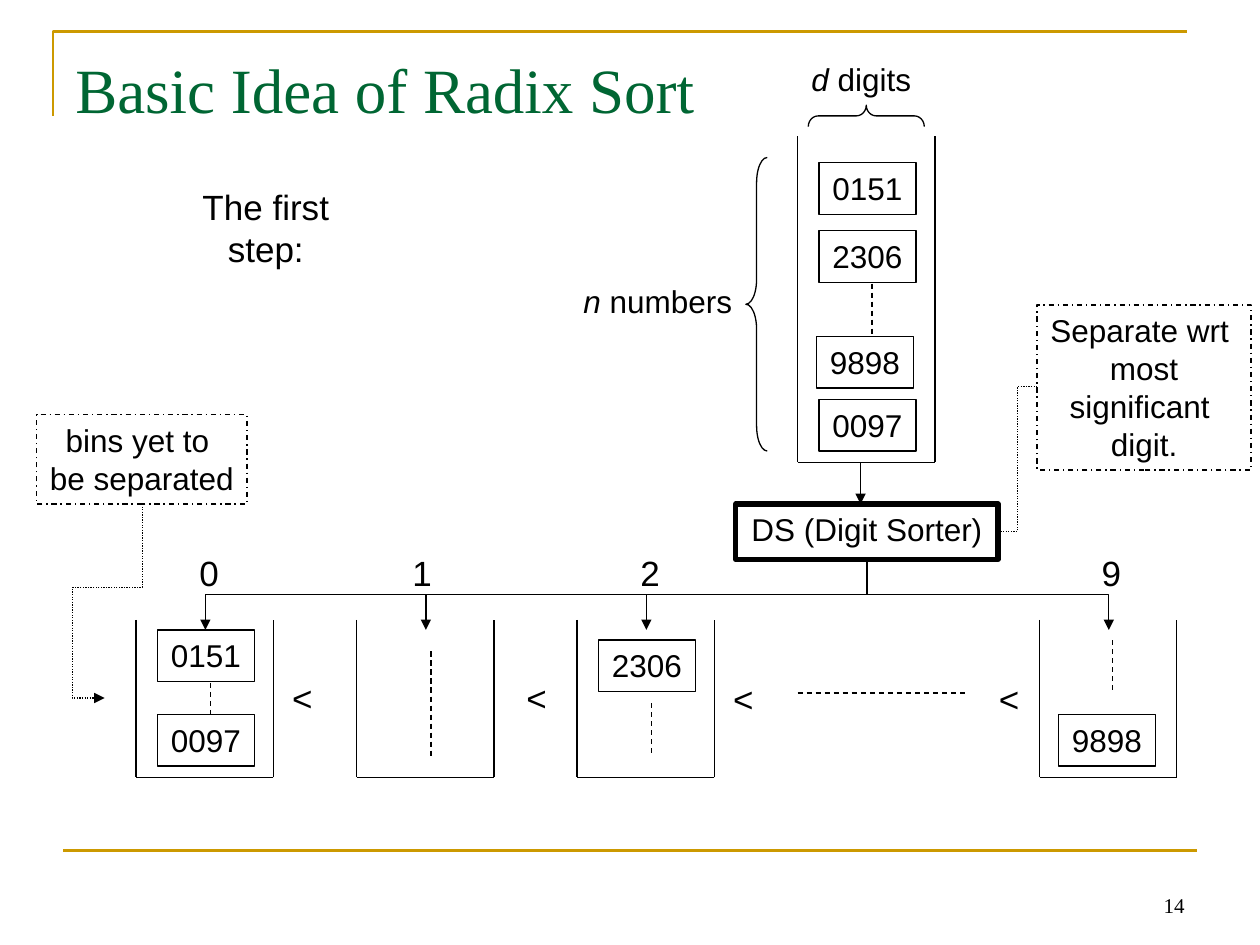
from dataclasses import dataclass

from pptx import Presentation
from pptx.dml.color import RGBColor
from pptx.enum.dml import MSO_LINE
from pptx.enum.shapes import MSO_CONNECTOR, MSO_SHAPE
from pptx.enum.text import MSO_ANCHOR, PP_ALIGN
from pptx.oxml.ns import qn
from pptx.util import Inches, Pt
from lxml import etree

STRAIGHT, ELBOW = MSO_CONNECTOR.STRAIGHT, MSO_CONNECTOR.ELBOW
RECT, BRACE = MSO_SHAPE.RECTANGLE, MSO_SHAPE.LEFT_BRACE
DASH, DASH_DOT, DOT = MSO_LINE.DASH, MSO_LINE.DASH_DOT, MSO_LINE.ROUND_DOT
LEFT, CENTER, RIGHT = PP_ALIGN.LEFT, PP_ALIGN.CENTER, PP_ALIGN.RIGHT
TOP, BOTTOM = MSO_ANCHOR.TOP, MSO_ANCHOR.BOTTOM


@dataclass(frozen=True)
class Theme:
    ink: RGBColor = RGBColor(0x00, 0x00, 0x00)
    gold: RGBColor = RGBColor(0xCC, 0x99, 0x00)
    green: RGBColor = RGBColor(0x00, 0x66, 0x33)
    sans: str = "Arial"
    serif: str = "Times New Roman"
    title: int = 36
    large: int = 20
    body: int = 18
    small: int = 12
    thin: float = 0.75
    rule: float = 1.5
    heavy: float = 3


THEME = Theme()
CARD_SIZE = (0.77, 0.41)
BIN_WIDTH = 1.09


def write(shape, text, *, lead="", size=THEME.body, font=THEME.sans, color=THEME.ink,
          align=CENTER, anchor=TOP, wrap=False):
    """Fill a shape with text, one paragraph per line, after an optional italic lead."""
    frame = shape.text_frame
    frame.word_wrap = wrap
    frame.vertical_anchor = anchor
    for index, line in enumerate(text.split("\n")):
        paragraph = frame.paragraphs[0] if index == 0 else frame.add_paragraph()
        paragraph.alignment = align
        for part, italic in ((lead, True), (line, False)):
            if part:
                run = paragraph.add_run()
                run.text = part
                run.font.name, run.font.size = font, Pt(size)
                run.font.color.rgb, run.font.italic = color, italic


def add_label(shapes, box, text, **text_format):
    label = shapes.add_textbox(*map(Inches, box))
    write(label, text, **text_format)
    return label


def style_line(line, color=THEME.ink, width=THEME.thin, dash=None):
    line.color.rgb = color
    line.width = Pt(width)
    if dash:
        line.dash_style = dash


def add_outline(shapes, kind, box, **line_format):
    outline = shapes.add_shape(kind, *map(Inches, box))
    outline.shadow.inherit = False
    outline.fill.background()
    style_line(outline.line, **line_format)
    return outline


def add_card(shapes, left, top, number):
    write(add_outline(shapes, RECT, (left, top, *CARD_SIZE)), number)


def add_line(shapes, start, end, kind=STRAIGHT, arrow=False, **line_format):
    connector = shapes.add_connector(kind, *map(Inches, (*start, *end)))
    style_line(connector.line, **line_format)
    if arrow:
        line_xml = connector.line._get_or_add_ln()
        etree.SubElement(line_xml, qn("a:tailEnd"), type="triangle")
    etree.SubElement(connector._element.spPr, qn("a:effectLst"))
    return connector


def bend(connector, *ratios):
    """Set where an elbow turns; each further ratio adds a turn."""
    geometry = connector._element.spPr.find(qn("a:prstGeom"))
    geometry.set("prst", f"bentConnector{2 + len(ratios)}")
    adjustments = geometry.find(qn("a:avLst"))
    for number, ratio in enumerate(ratios, 1):
        etree.SubElement(adjustments, qn("a:gd"), name=f"adj{number}",
                         fmla=f"val {round(ratio * 100000)}")


def add_drop(shapes, start, end, ratios, **line_format):
    """Draw an elbow that leaves its start downwards: a turned level elbow."""
    (x1, y1), (x2, y2) = start, end
    width, height = y2 - y1, abs(x2 - x1)
    left, top = (x1 + x2 - width) / 2, (y1 + y2 - height) / 2
    drop = add_line(shapes, (left, top), (left + width, top + height),
                    kind=ELBOW, arrow=True, **line_format)
    xfrm = drop._element.spPr.find(qn("a:xfrm"))
    xfrm.set("rot", str((270 if x2 > x1 else 90) * 60000))
    if x2 > x1:
        xfrm.set("flipH", "1")
    bend(drop, *ratios)


def add_bin(shapes, left, top, bottom):
    right = left + BIN_WIDTH
    corners = [(left, top), (left, bottom), (right, bottom), (right, top)]
    walls = shapes.add_group_shape().shapes
    for start, end in zip(corners, corners[1:]):
        add_line(walls, start, end)
    return walls


def add_frame(shapes):
    builder = shapes.build_freeform(Inches(0.42), Inches(0.92))
    builder.add_line_segments([(Inches(0.42), Inches(0.25)), (Inches(9.42), Inches(0.25))],
                              close=False)
    corner = builder.convert_to_shape()
    corner.shadow.inherit = False
    corner.fill.background()
    style_line(corner.line, THEME.gold, THEME.rule)
    add_line(shapes, (0.5, 6.75), (9.5, 6.75), color=THEME.gold, width=THEME.rule)
    add_label(shapes, (7.17, 6.83, 2.33, 0.5), "14", size=THEME.small, font=THEME.serif,
              align=RIGHT, anchor=BOTTOM, wrap=True)
    title = add_label(shapes, (0.5, 0.3, 9, 1.25), "Basic Idea of Radix Sort",
                      size=THEME.title, font=THEME.serif, color=THEME.green,
                      align=LEFT, wrap=True)
    title.text_frame.margin_top = Inches(0.1)


def add_input(shapes):
    # Stack of unsorted numbers
    stack = add_bin(shapes, 6.33, 1.08, 3.67)
    for left, top, number in ((6.5, 1.29, "0151"), (6.5, 1.83, "2306"),
                              (6.48, 2.67, "9898"), (6.5, 3.17, "0097")):
        add_card(stack, left, top, number)
    add_line(stack, (6.92, 2.25), (6.92, 2.67), dash=DASH)

    # Braces and their labels
    add_label(shapes, (4.53, 2.19, 1.38, 0.4), " numbers", lead="n")
    count_brace = add_outline(shapes, BRACE, (5.92, 1.25, 0.17, 2.33))
    count_brace.adjustments[0] = 1.17
    add_label(shapes, (6.34, 0.43, 0.99, 0.4), " digits", lead="d")
    digit_brace = add_outline(shapes, BRACE, (6.79, 0.46, 0.17, 0.92))
    digit_brace.adjustments[0] = 0.46
    digit_brace.rotation = 90


def add_sorter(shapes):
    sorter = add_outline(shapes, RECT, (5.84, 4, 2.08, 0.44), width=THEME.heavy)
    write(sorter, "DS (Digit Sorter)")
    add_line(shapes, (6.83, 3.67), (6.83, 4), arrow=True)
    rule_note = add_outline(shapes, RECT, (8.23, 2.42, 1.7, 1.31), dash=DASH_DOT)
    write(rule_note, "Separate wrt \nmost\nsignificant \ndigit.", wrap=True)
    bend(add_line(shapes, (7.94, 4.22), (8.23, 3.07), kind=ELBOW, dash=DOT), 0.46)


def add_bins(shapes):
    # Bins with the arrows that feed them
    for left in (1.08, 2.83, 4.58, 8.25):
        add_bin(shapes, left, 4.92, 6.17)
        add_drop(shapes, (6.88, 4.46), (left + 0.55, 5), [0.48])
    for left, digit in ((1.48, "0"), (3.17, "1"), (4.98, "2"), (8.64, "9")):
        add_label(shapes, (left, 4.33, 0.36, 0.43), digit, size=THEME.large)

    # Contents of the bins
    for left, top, number in ((1.25, 5, "0151"), (1.25, 5.67, "0097"),
                              (4.75, 5.08, "2306"), (8.4, 5.67, "9898")):
        add_card(shapes, left, top, number)
    for x, top, bottom in ((1.67, 5.42, 5.67), (3.42, 5.17, 6),
                           (5.17, 5.58, 6), (8.83, 5.08, 5.5)):
        add_line(shapes, (x, top), (x, bottom), dash=DASH)

    # Order between the bins
    for left, top in ((2.22, 5.32), (4.08, 5.32), (5.72, 5.33), (7.83, 5.33)):
        add_label(shapes, (left, top, 0.36, 0.43), "<", size=THEME.large)
    add_line(shapes, (6.33, 5.5), (7.67, 5.5), dash=DASH)


def add_bin_note(shapes):
    add_label(shapes, (1.18, 1.42, 1.86, 0.77), "The first step:",
              size=THEME.large, wrap=True)
    bin_note = add_outline(shapes, RECT, (0.29, 3.29, 1.67, 0.71), dash=DASH_DOT)
    write(bin_note, "bins yet to \nbe separated")
    add_drop(shapes, (1.13, 4), (0.83, 5.54), [0.43, 1.85], dash=DOT)


def main():
    deck = Presentation()
    deck.slide_width, deck.slide_height = Inches(10), Inches(7.5)
    shapes = deck.slides.add_slide(deck.slide_layouts[6]).shapes
    for add_part in (add_frame, add_input, add_sorter, add_bins, add_bin_note):
        add_part(shapes)
    deck.save("out.pptx")


if __name__ == "__main__":
    main()
